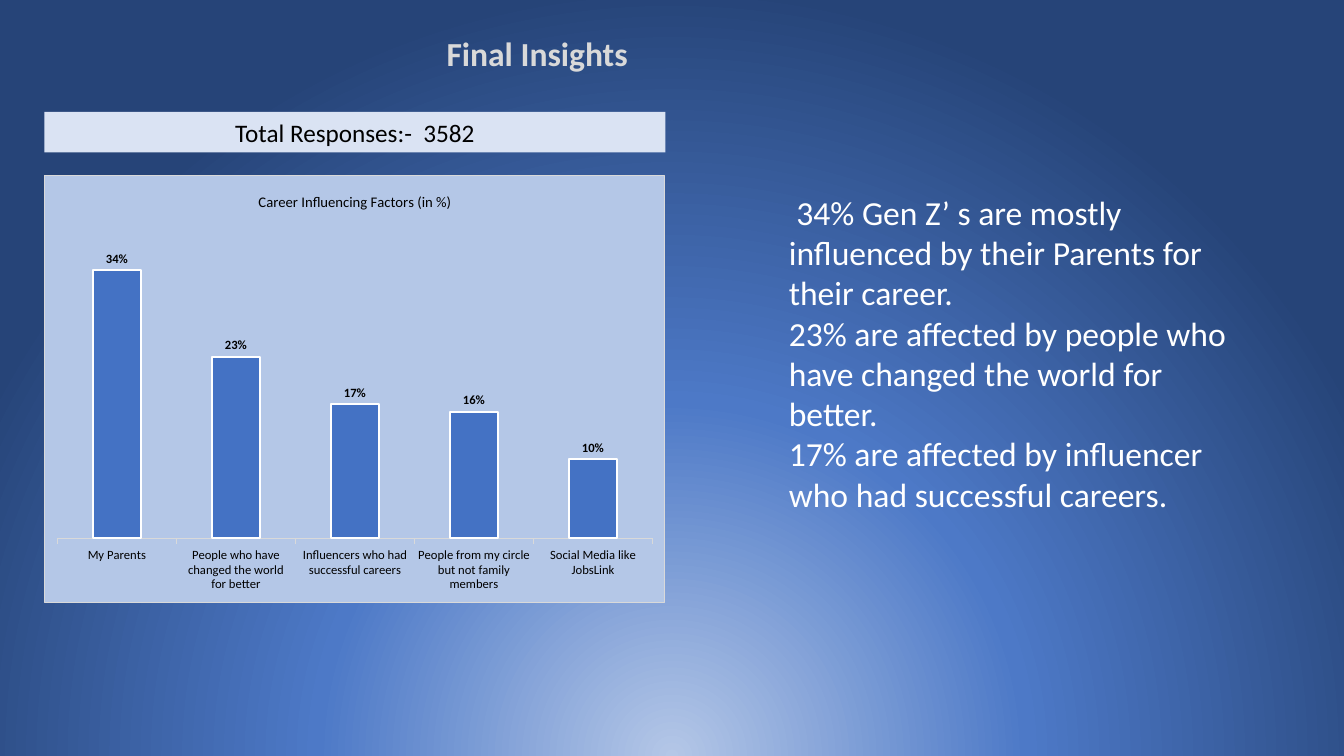
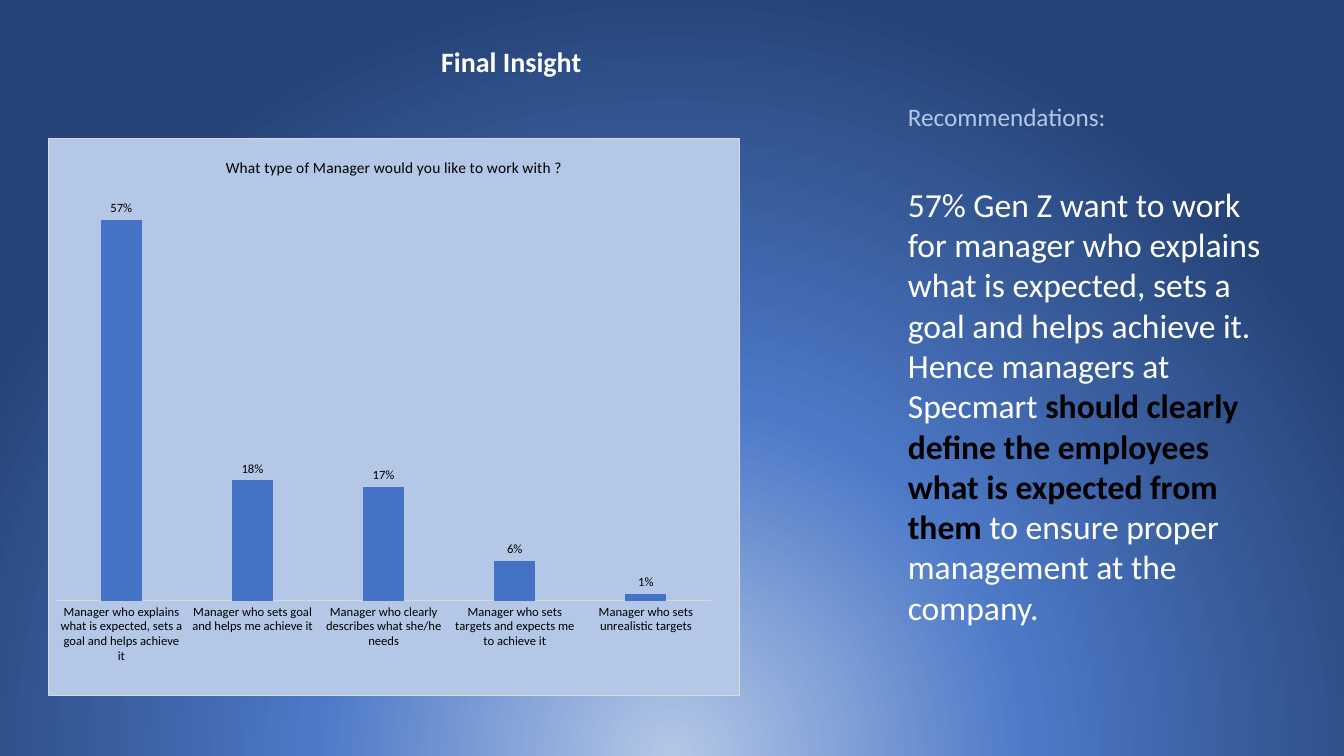
from lxml import etree
from pptx import Presentation
from pptx.chart.data import CategoryChartData
from pptx.dml.color import RGBColor
from pptx.enum import chart as ch, shapes, text as tx
from pptx.oxml import parse_xml
from pptx.oxml.ns import qn
from pptx.util import Cm, Pt

WHITE = RGBColor(0xFF, 0xFF, 0xFF)
BLACK = RGBColor(0, 0, 0)
GREY = RGBColor(0xD9, 0xD9, 0xD9)
PALE = RGBColor(0xDA, 0xE3, 0xF3)
LIGHT = RGBColor(0xB4, 0xC7, 0xE7)
BLUE = RGBColor(0x44, 0x72, 0xC4)
MID = RGBColor(0x4D, 0x79, 0xC7)
NAVY = RGBColor(0x26, 0x44, 0x78)
FONT = "Calibri"
NS = ('xmlns:a="http://schemas.openxmlformats.org/drawingml/2006/main" '
      'xmlns:c="http://schemas.openxmlformats.org/drawingml/2006/chart" '
      'xmlns:p="http://schemas.openxmlformats.org/presentationml/2006/main"')


def write(shape, *paras, size=24, color=WHITE, bold=False, align=tx.PP_ALIGN.LEFT):
    """Fill a shape with paragraphs; words between asterisks are bold black."""
    frame = shape.text_frame
    frame.word_wrap = True
    frame.auto_size = tx.MSO_AUTO_SIZE.NONE
    frame.vertical_anchor = tx.MSO_ANCHOR.TOP
    for i, words in enumerate(paras):
        para = frame.add_paragraph() if i else frame.paragraphs[0]
        para.alignment = align
        for j, part in enumerate(words.split("*")):
            strong = j % 2 == 1
            run = para.add_run()
            run.text = part
            run.font.name, run.font.size = FONT, Pt(size)
            run.font.bold = bold or strong
            run.font.color.rgb = BLACK if strong else color


def style(font, size, bold=False):
    font.name, font.size, font.bold = FONT, Pt(size), bold
    font.color.rgb = BLACK


deck = Presentation()
deck.slide_width, deck.slide_height = Cm(33.87), Cm(19.05)

# Shared radial background
stops = "".join(f'<a:gs pos="{pos * 1000}"><a:srgbClr val="{tone}"/></a:gs>'
                for pos, tone in ((0, LIGHT), (46, MID), (100, NAVY)))
base = deck.slide_master.element.find(qn("p:cSld"))
old = base.find(qn("p:bg"))
if old is not None:
    base.remove(old)
base.insert(0, parse_xml(
    f'<p:bg {NS}><p:bgPr><a:gradFill rotWithShape="1"><a:gsLst>{stops}</a:gsLst>'
    '<a:path path="circle"><a:fillToRect l="50000" t="130000" r="50000" b="-30000"/>'
    '</a:path></a:gradFill><a:effectLst/></p:bgPr></p:bg>'))

# Each page: title, chart and text boxes
pages = [
    dict(title="Final Insights", spot=(6.99, 0.71, 13.1, 1.27), size=24, color=GREY,
         head="Career Influencing Factors (in %)", hsize=10.5,
         area=(1.12, 4.42, 15.65, 10.77), plot=(0.02, 0.11, 0.96, 0.74),
         gap=150, lap=0, top=0.4, edge=True, tick=ch.XL_TICK_MARK.OUTSIDE,
         data={"My Parents": 0.34,
               "People who have changed the world for better": 0.23,
               "Influencers who had successful careers": 0.17,
               "People from my circle but not family members": 0.16,
               "Social Media like JobsLink": 0.1},
         notes=[((19.63, 4.7, 12.09, 8.46), 24, WHITE,
                 [" 34% Gen Z’ s are mostly influenced by their Parents for their career.",
                  "23% are affected by people who have changed the world for better.",
                  "17% are affected by influencer who had successful careers."])]),
    dict(title="Final Insight", spot=(8.53, 0.99, 8.71, 1.12), size=20, color=WHITE,
         head="What type of Manager would you like to work with ?", hsize=11,
         area=(1.22, 3.47, 17.42, 14.07), plot=(0.01, 0.11, 0.95, 0.72),
         gap=219, lap=-27, top=0.6, edge=False, tick=ch.XL_TICK_MARK.NONE,
         data={"Manager who explains what is expected, sets a goal and helps achieve it": 0.57,
               "Manager who sets goal and helps me achieve it": 0.18,
               "Manager who clearly describes what she/he needs": 0.17,
               "Manager who sets targets and expects me to achieve it": 0.06,
               "Manager who sets unrealistic targets": 0.01},
         notes=[((22.63, 2.44, 8.38, 1.02), 18, LIGHT, ["Recommendations:"]),
                ((22.63, 4.5, 9.73, 11.53), 24, WHITE,
                 ["57% Gen Z want to work for manager who explains what is expected, "
                  "sets a goal and helps achieve it.",
                  "Hence managers at Specmart *should clearly define the employees "
                  "what is expected from them* to ensure proper management at the "
                  "company."])]),
]

for page in pages:
    slide = deck.slides.add_slide(deck.slide_layouts[5])
    title = slide.shapes.title
    title.left, title.top, title.width, title.height = map(Cm, page["spot"])
    write(title, page["title"], size=page["size"], color=page["color"],
          bold=True, align=tx.PP_ALIGN.CENTER)

    data = CategoryChartData(number_format="0%")
    data.categories = list(page["data"])
    data.add_series("Series 1", list(page["data"].values()))
    chart = slide.shapes.add_chart(ch.XL_CHART_TYPE.COLUMN_CLUSTERED,
                                   *map(Cm, page["area"]), data).chart
    style(chart.font, 10)
    chart.has_legend = False
    chart.has_title = True
    head = chart.chart_title.text_frame
    head.text = page["head"]
    style(head.paragraphs[0].runs[0].font, page["hsize"])

    cats, vals = chart.category_axis, chart.value_axis
    style(cats.tick_labels.font, 9)
    cats.major_tick_mark = page["tick"]
    cats.format.line.color.rgb, cats.format.line.width = GREY, Pt(0.75)
    vals.has_major_gridlines = vals.visible = False
    vals.minimum_scale, vals.maximum_scale = 0, page["top"]

    bars = chart.plots[0]
    bars.gap_width, bars.overlap = page["gap"], page["lap"]
    bars.vary_by_categories = False
    look = bars.series[0].format
    look.fill.solid()
    look.fill.fore_color.rgb = BLUE
    if page["edge"]:
        look.line.color.rgb, look.line.width = WHITE, Pt(1.5)
    bars.has_data_labels = True
    tags = bars.data_labels
    tags.show_value = True
    tags.number_format, tags.number_format_is_linked = "0%", False
    tags.position = ch.XL_LABEL_POSITION.OUTSIDE_END
    style(tags.font, 9, bold=page["edge"])

    # Panel fill, border and inner plot area
    body = chart.element.find(qn("c:chart"))
    body.addnext(parse_xml(
        f'<c:spPr {NS}><a:solidFill><a:srgbClr val="{LIGHT}"/></a:solidFill>'
        f'<a:ln w="{Pt(0.75)}"><a:solidFill><a:srgbClr val="{GREY}"/></a:solidFill>'
        '</a:ln></c:spPr>'))
    plot = body.find(qn("c:plotArea"))
    for lay in plot.findall(qn("c:layout")):
        plot.remove(lay)
    lay = etree.Element(qn("c:layout"))
    plot.insert(0, lay)
    hand = etree.SubElement(lay, qn("c:manualLayout"))
    marks = [("layoutTarget", "inner"), ("xMode", "edge"), ("yMode", "edge"),
             *zip("xywh", page["plot"])]
    for tag, val in marks:
        etree.SubElement(hand, qn(f"c:{tag}")).set("val", str(val))

    for area, size, color, paras in page["notes"]:
        write(slide.shapes.add_textbox(*map(Cm, area)), *paras, size=size, color=color)

total = deck.slides[0].shapes.add_shape(shapes.MSO_SHAPE.RECTANGLE,
                                        Cm(1.12), Cm(2.82), Cm(15.65), Cm(1.02))
total.shadow.inherit = False
total.fill.solid()
total.fill.fore_color.rgb = PALE
total.line.fill.background()
write(total, "Total Responses:-  3582", size=18, color=BLACK, align=tx.PP_ALIGN.CENTER)

deck.save("out.pptx")
